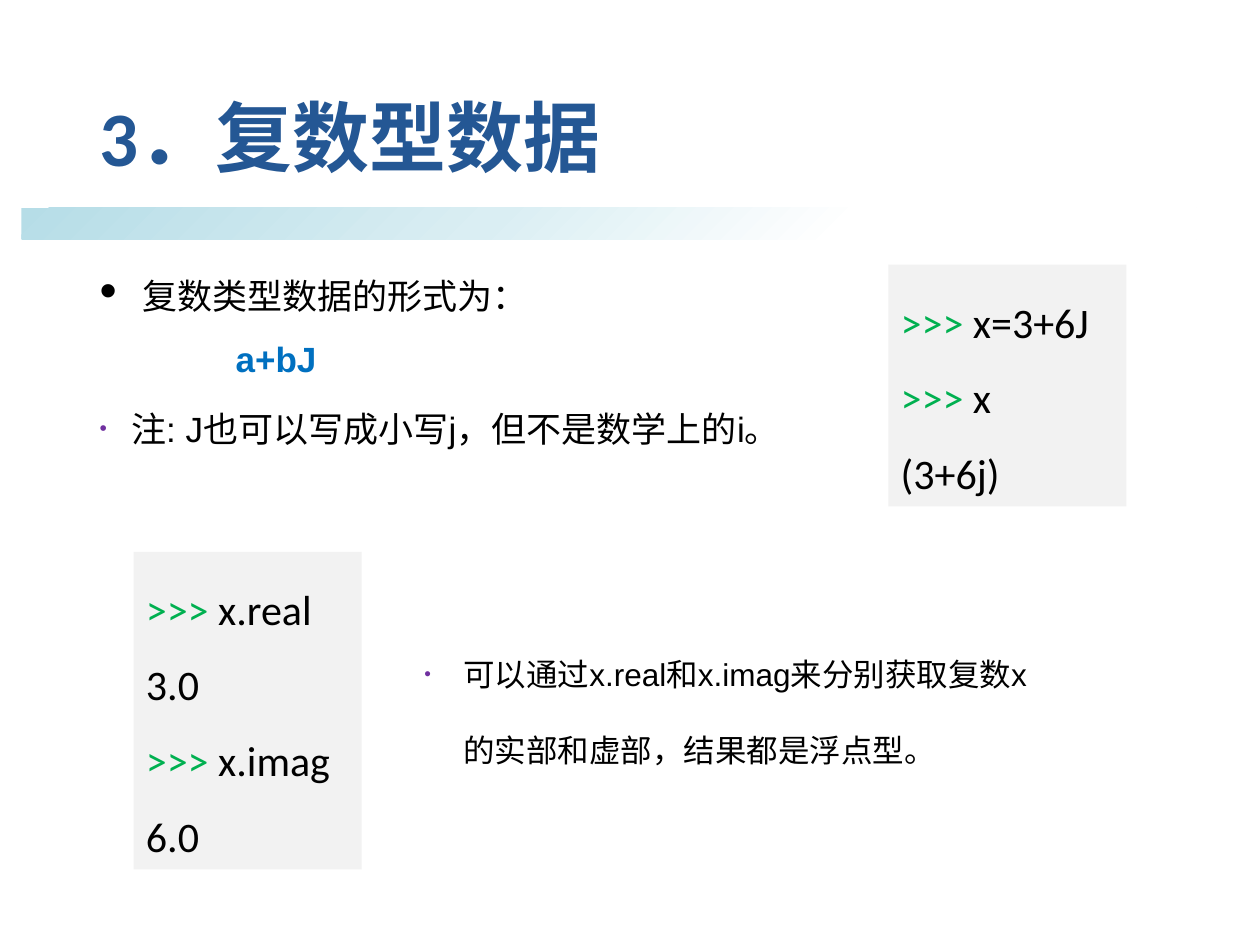
from dataclasses import dataclass

from lxml.etree import SubElement
from pptx import Presentation
from pptx.dml.color import RGBColor
from pptx.enum.shapes import MSO_SHAPE
from pptx.enum.text import MSO_ANCHOR, MSO_AUTO_SIZE, PP_ALIGN
from pptx.oxml import parse_xml
from pptx.oxml.ns import nsdecls, qn
from pptx.util import Inches, Pt

BLACK = RGBColor(0x00, 0x00, 0x00)
TITLE_BLUE = RGBColor(0x24, 0x57, 0x94)
ACCENT_BLUE = RGBColor(0x00, 0x70, 0xC0)
PROMPT_GREEN = RGBColor(0x00, 0xB0, 0x50)
BULLET_PURPLE = RGBColor(0x70, 0x30, 0xA0)
CODE_GRAY = RGBColor(0xF2, 0xF2, 0xF2)
BAR_STOPS = [
    (0, RGBColor(0xB6, 0xDD, 0xE7)),
    (40, RGBColor(0xDA, 0xEE, 0xF3)),
    (70, RGBColor(0xFF, 0xFF, 0xFF)),
    (100, RGBColor(0xFF, 0xFF, 0xFF)),
]
PROMPT = ">>>"


@dataclass
class Box:
    left: float
    top: float
    width: float
    height: float

    def lengths(self) -> list:
        return [Inches(v) for v in (self.left, self.top, self.width, self.height)]


@dataclass
class CodeBlock:
    box: Box
    lines: list[str]


CODE_BLOCKS = [
    CodeBlock(Box(7.05, 2.1, 1.89, 1.92), [">>> x=3+6J", ">>> x", "(3+6j)"]),
    CodeBlock(Box(1.06, 4.38, 1.81, 2.52),
              [">>> x.real", "3.0", ">>> x.imag", "6.0"]),
]


def place(s, box: Box) -> None:
    s.left, s.top, s.width, s.height = box.lengths()


def add_run(p, text: str, size: float, font="Arial", color=BLACK, bold=False) -> None:
    r = p.add_run()
    r.text = text
    for name, value in {"size": Pt(size), "name": font, "bold": bold}.items():
        setattr(r.font, name, value)
    r.font.color.rgb = color


def format_paragraph(p, **values) -> None:
    for name, value in values.items():
        setattr(p, name, value)


def set_bullet(p, margin: float, hanging: float, color=None, percent=100,
               char="•") -> None:
    """Set the indent and bullet; an empty char means no bullet."""
    pPr = p._p.get_or_add_pPr()
    pPr.set("marL", str(Inches(margin)))
    pPr.set("indent", str(-Inches(hanging)))
    if not char:
        SubElement(pPr, qn("a:buNone"))
        return
    if color is not None:
        clr = SubElement(pPr, qn("a:buClr"))
        SubElement(clr, qn("a:srgbClr")).set("val", str(color))
    SubElement(pPr, qn("a:buSzPct")).set("val", str(percent * 1000))
    SubElement(pPr, qn("a:buFont")).set("typeface", "Arial")
    SubElement(pPr, qn("a:buChar")).set("char", char)


def add_gradient_bar(slide, box: Box) -> None:
    s = slide.shapes.add_shape(MSO_SHAPE.RECTANGLE, *box.lengths())
    s.shadow.inherit = False
    s.line.fill.background()
    stops = "".join(
        f'<a:gs pos="{pos * 1000}"><a:srgbClr val="{color}"/></a:gs>'
        for pos, color in BAR_STOPS)
    s._element.spPr.find(qn("a:prstGeom")).addnext(parse_xml(
        f'<a:gradFill {nsdecls("a")} rotWithShape="1"><a:gsLst>{stops}</a:gsLst>'
        '<a:lin ang="2700000" scaled="0"/></a:gradFill>'))
    slide.shapes._spTree.insert(2, s._element)  # behind the title


def fill_title(s) -> None:
    place(s, Box(0.69, 0.4, 8.62, 1.45))
    tf = s.text_frame
    tf.vertical_anchor = MSO_ANCHOR.MIDDLE
    tf.auto_size = MSO_AUTO_SIZE.NONE
    p = tf.paragraphs[0]
    format_paragraph(p, alignment=PP_ALIGN.LEFT, line_spacing=0.9)
    add_run(p, "3．复数型数据", 44, "Calibri", TITLE_BLUE, True)


def fill_body(s) -> None:
    place(s, Box(0.69, 2.02, 6.2, 1.73))
    tf = s.text_frame
    tf.auto_size = MSO_AUTO_SIZE.NONE
    form, formula, note = tf.paragraphs[0], tf.add_paragraph(), tf.add_paragraph()
    for p, after in ((form, 0), (formula, 6), (note, 6)):
        format_paragraph(p, space_before=Pt(10), space_after=Pt(after))
    set_bullet(form, 0.25, 0.25)
    add_run(form, " ", 28, "Calibri")  # sets the size of the bullet
    add_run(form, "复数类型数据的形式为：", 20)
    set_bullet(formula, 1.08, 0, char="")
    add_run(formula, "a+bJ", 20, color=ACCENT_BLUE, bold=True)
    set_bullet(note, 0.25, 0.25, BULLET_PURPLE, 60)
    add_run(note, "注: J也可以写成小写j，但不是数学上的i。", 20)


def add_code(slide, block: CodeBlock) -> None:
    s = slide.shapes.add_shape(MSO_SHAPE.RECTANGLE, *block.box.lengths())
    s.shadow.inherit = False
    s.fill.solid()
    s.fill.fore_color.rgb = CODE_GRAY
    s.line.fill.background()
    tf = s.text_frame
    tf.word_wrap = True
    tf.auto_size = MSO_AUTO_SIZE.SHAPE_TO_FIT_TEXT
    tf.vertical_anchor = MSO_ANCHOR.TOP
    for i, line in enumerate(block.lines):
        p = tf.add_paragraph() if i else tf.paragraphs[0]
        format_paragraph(p, alignment=PP_ALIGN.LEFT, line_spacing=1.5)
        if line.startswith(PROMPT):
            add_run(p, PROMPT, 24, "Calibri", PROMPT_GREEN)
        add_run(p, line.removeprefix(PROMPT), 24, "Calibri")


def add_explanation(slide, box: Box) -> None:
    tf = slide.shapes.add_textbox(*box.lengths()).text_frame
    tf.word_wrap = True
    tf.auto_size = MSO_AUTO_SIZE.SHAPE_TO_FIT_TEXT
    p = tf.paragraphs[0]
    format_paragraph(p, line_spacing=2.0, space_after=Pt(6))
    set_bullet(p, 0.31, 0.31, BULLET_PURPLE, 60)
    add_run(p, "可以通过x.real和x.imag来分别获取复数x的实部和虚部，结果都是浮点型。", 18)


def main() -> None:
    prs = Presentation()
    prs.slide_width, prs.slide_height = Inches(10), Inches(7.5)
    slide = prs.slides.add_slide(prs.slide_layouts[1])
    add_gradient_bar(slide, Box(0.17, 1.65, 9.33, 0.25))
    fill_title(slide.shapes.title)
    fill_body(slide.placeholders[1])
    for block in CODE_BLOCKS:
        add_code(slide, block)
    add_explanation(slide, Box(3.27, 4.85, 5, 1.23))
    prs.save("out.pptx")


if __name__ == "__main__":
    main()
